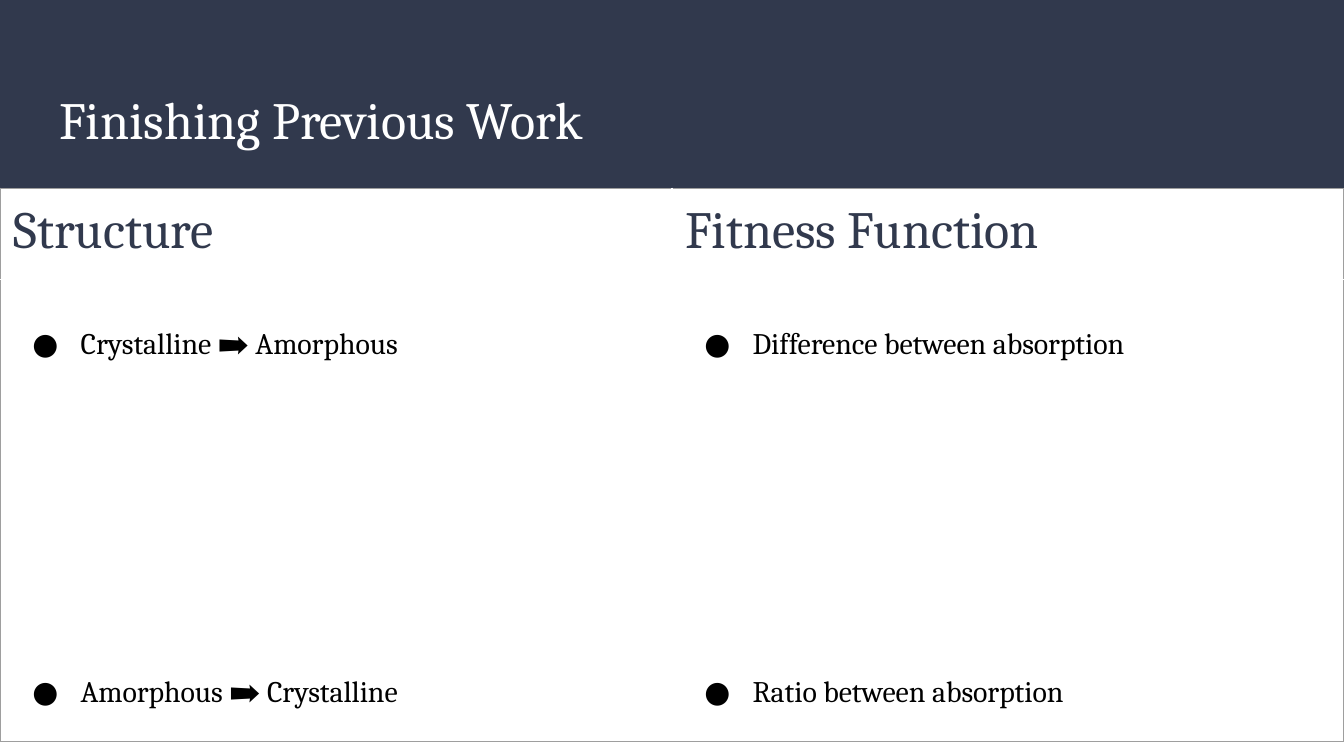
from lxml.etree import SubElement
from pptx import Presentation
from pptx.dml.color import RGBColor
from pptx.enum.shapes import MSO_SHAPE
from pptx.enum.text import MSO_ANCHOR, MSO_AUTO_SIZE, PP_ALIGN
from pptx.oxml.ns import qn
from pptx.util import Inches, Pt

NAVY = RGBColor(0x31, 0x39, 0x4D)
WHITE = RGBColor(0xFF, 0xFF, 0xFF)
BLACK = RGBColor(0, 0, 0)
GREY = RGBColor(0x9E, 0x9E, 0x9E)

FONT = "Cambria"
WIDTH = Inches(10)
HEIGHT = WIDTH * 9 // 16
BAND_HEIGHT = Inches(1.4)
ROW_HEIGHTS = (Inches(0.68), Inches(3.44))
INSET = Inches(0.1)
BULLET_GAP = 150

COLUMNS = [
    ("Structure", ["Crystalline ➡️ Amorphous", "Amorphous ➡️ Crystalline"]),
    ("Fitness Function", ["Difference between absorption", "Ratio between absorption"]),
]


def write(para, text, size=16, color=BLACK, before=0, spacing=1.0):
    para.alignment = PP_ALIGN.LEFT
    para.space_before = Pt(before)
    para.line_spacing = spacing
    span = para.add_run()
    span.text = text
    span.font.name = FONT
    span.font.size = Pt(size)
    span.font.color.rgb = color


def add_bullet(para, size=16, color=BLACK):
    properties = para._p.get_or_add_pPr()
    properties.set("marL", str(Inches(0.5)))
    properties.set("indent", str(Inches(-0.36)))
    fill = SubElement(properties, qn("a:buClr"))
    SubElement(fill, qn("a:srgbClr"), val=str(color))
    SubElement(properties, qn("a:buSzPts"), val=str(size * 100))
    SubElement(properties, qn("a:buFont"), typeface=FONT)
    SubElement(properties, qn("a:buChar"), char="●")


def set_borders(cell, colors):
    """Draw the left, right, top and bottom borders in the given colours."""
    properties = cell._tc.get_or_add_tcPr()
    for side, color in zip("LRTB", colors):
        line = SubElement(properties, qn(f"a:ln{side}"), w=str(Pt(0.75)))
        fill = SubElement(line, qn("a:solidFill"))
        SubElement(fill, qn("a:srgbClr"), val=str(color))


def add_title_band(page, left, top, width, height):
    band = page.shapes.add_shape(MSO_SHAPE.RECTANGLE, left, top, width, height)
    band.shadow.inherit = False
    band.fill.solid()
    band.fill.fore_color.rgb = NAVY
    band.line.fill.background()

    title = page.shapes.title
    page.shapes._spTree.append(title._element)
    margin = Inches(0.34)
    title.left, title.top = left + margin, top + Inches(0.55)
    title.width, title.height = width - 2 * margin, Inches(0.68)
    frame = title.text_frame
    frame.auto_size = MSO_AUTO_SIZE.NONE
    frame.vertical_anchor = MSO_ANCHOR.TOP
    frame.margin_left = frame.margin_right = INSET
    frame.margin_top = frame.margin_bottom = INSET
    write(frame.paragraphs[0], "Finishing Previous Work", size=28, color=WHITE)


def fill_bullets(frame, lines):
    for index, line in enumerate(lines):
        para = frame.add_paragraph() if index else frame.paragraphs[0]
        write(para, line, spacing=2.0, before=BULLET_GAP if index else 0)
        add_bullet(para)


def add_comparison(page, left, top, width, row_heights):
    """Place the two-column table with grey outer and white inner borders."""
    count = len(COLUMNS)
    table = page.shapes.add_table(
        len(row_heights), count, left, top, width, sum(row_heights)
    ).table
    table.first_row = table.horz_banding = False
    for row, height in zip(table.rows, row_heights):
        row.height = height
    for index, (heading, lines) in enumerate(COLUMNS):
        table.columns[index].width = width // count
        sides = (WHITE if index else GREY, GREY if index == count - 1 else WHITE)
        head, body = table.cell(0, index), table.cell(1, index)
        for cell, edges in ((head, (GREY, WHITE)), (body, (WHITE, GREY))):
            cell.margin_left = cell.margin_right = INSET
            cell.margin_top = cell.margin_bottom = INSET
            set_borders(cell, sides + edges)
            cell.fill.background()
        write(head.text_frame.paragraphs[0], heading, size=28, color=NAVY)
        fill_bullets(body.text_frame, lines)


def main():
    deck = Presentation()
    deck.slide_width, deck.slide_height = WIDTH, HEIGHT
    page = deck.slides.add_slide(deck.slide_layouts[5])
    add_title_band(page, 0, 0, WIDTH, BAND_HEIGHT)
    add_comparison(page, 0, BAND_HEIGHT, WIDTH, ROW_HEIGHTS)
    deck.save("out.pptx")


if __name__ == "__main__":
    main()
